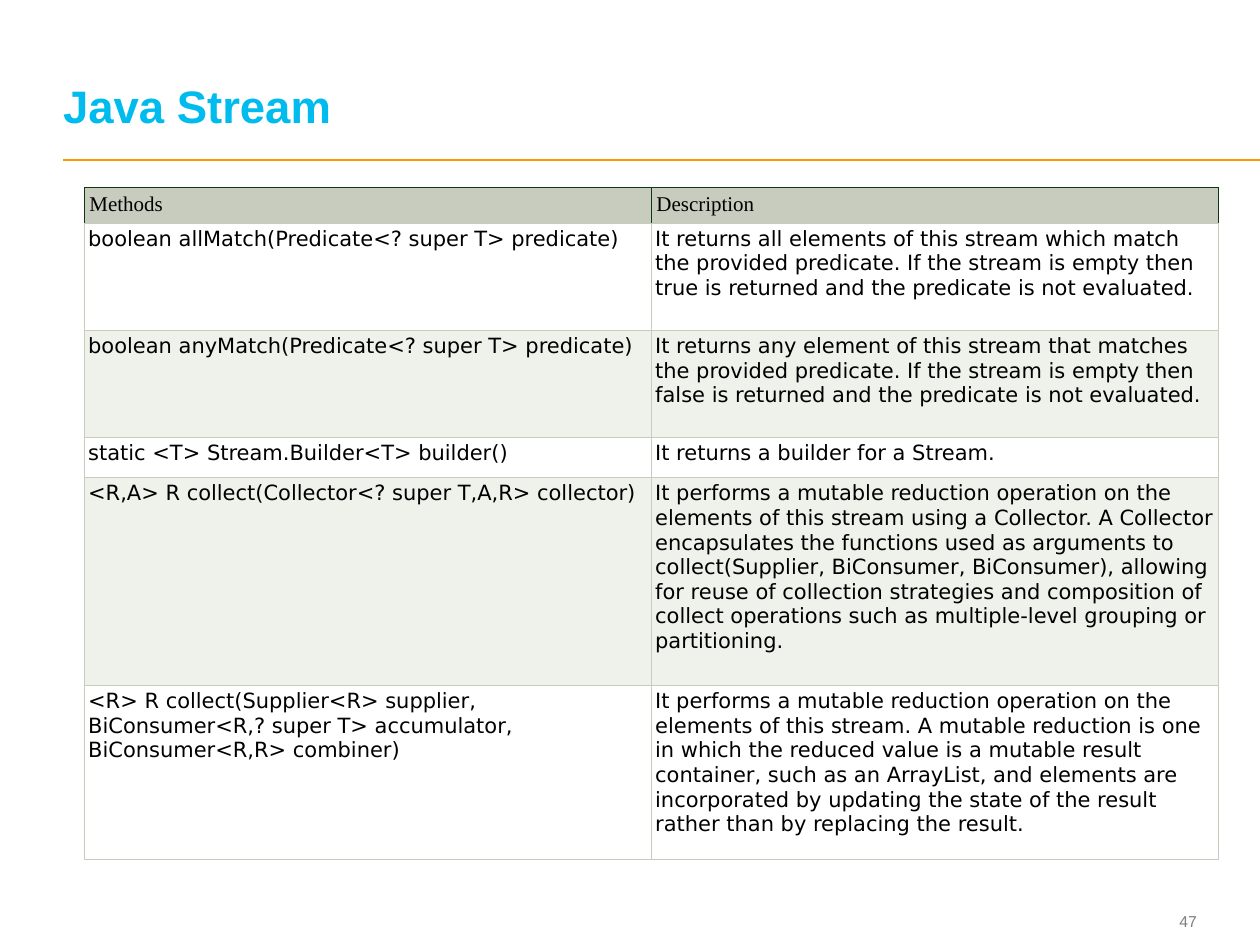
from dataclasses import dataclass

import pptx
import pptx.dml.color
import pptx.enum.shapes
import pptx.enum.text
import pptx.oxml.ns
import pptx.util
from lxml import etree
from pptx.util import Inches

COLORS = {
    "title": "00BBEE", "rule": "FF9900", "number": "7F7F7F", "text": "000000",
    "header": "C7CCBE", "header_edge": "10380F", "grid": "C7CCBE",
    "plain": "FFFFFF", "band": "EFF1EB",
}
ANCHOR = pptx.enum.text.MSO_ANCHOR
ALIGN = pptx.enum.text.PP_ALIGN


@dataclass
class TextStyle:
    font: str
    size: float
    color: str
    bold: bool = False


@dataclass
class MethodRow:
    method: str
    description: str
    height: float


TITLE = TextStyle("Arial", 26, "title", True)
NUMBER = TextStyle("Arial", 9, "number")
HEADER = TextStyle("Times New Roman", 12, "text")
BODY = TextStyle("DejaVu Sans", 12, "text")

ROWS = [
    MethodRow("Methods", "Description", 0.28),
    MethodRow(
        "boolean allMatch(Predicate<? super T> predicate)",
        "It returns all elements of this stream which match the provided predicate. "
        "If the stream is empty then true is returned and the predicate is not evaluated.",
        0.85),
    MethodRow(
        "boolean anyMatch(Predicate<? super T> predicate)",
        "It returns any element of this stream that matches the provided predicate. "
        "If the stream is empty then false is returned and the predicate is not evaluated.",
        0.85),
    MethodRow(
        "static <T> Stream.Builder<T> builder()",
        "It returns a builder for a Stream.",
        0.32),
    MethodRow(
        "<R,A> R collect(Collector<? super T,A,R> collector)",
        "It performs a mutable reduction operation on the elements of this stream using "
        "a Collector. A Collector encapsulates the functions used as arguments to "
        "collect(Supplier, BiConsumer, BiConsumer), allowing for reuse of collection "
        "strategies and composition of collect operations such as multiple-level "
        "grouping or partitioning.",
        1.65),
    MethodRow(
        "<R> R collect(Supplier<R> supplier, BiConsumer<R,? super T> accumulator, "
        "BiConsumer<R,R> combiner)",
        "It performs a mutable reduction operation on the elements of this stream. "
        "A mutable reduction is one in which the reduced value is a mutable result "
        "container, such as an ArrayList, and elements are incorporated by updating "
        "the state of the result rather than by replacing the result.",
        1.38),
]


def rgb(name: str) -> pptx.dml.color.RGBColor:
    return pptx.dml.color.RGBColor.from_string(COLORS[name])


def set_all(target, values: dict) -> None:
    for name, value in values.items():
        setattr(target, name, value)


def write(frame, text: str, style: TextStyle, align=ALIGN.LEFT):
    para = frame.paragraphs[0]
    para.alignment = align
    span = para.add_run()
    span.text = text
    set_all(span.font, {"name": style.font, "size": pptx.util.Pt(style.size),
                        "bold": style.bold})
    span.font.color.rgb = rgb(style.color)
    return para


def format_frame(frame, anchor) -> None:
    set_all(frame, {"margin_left": 0, "margin_top": 0, "margin_right": 0,
                    "margin_bottom": 0, "word_wrap": True,
                    "auto_size": pptx.enum.text.MSO_AUTO_SIZE.NONE,
                    "vertical_anchor": anchor})


def add_border(cell, side: str, color: str) -> None:
    qn = pptx.oxml.ns.qn
    properties = cell._tc.get_or_add_tcPr()
    line = etree.SubElement(properties, qn(f"a:ln{side}"), w=str(pptx.util.Pt(0.6)))
    fill = etree.SubElement(line, qn("a:solidFill"))
    etree.SubElement(fill, qn("a:srgbClr"), val=COLORS[color])


def fill_cell(cell, text: str, row: int) -> None:
    is_header = row == 0
    margin = Inches(0.04 if is_header else 0.03)
    set_all(cell, {"margin_left": margin, "margin_top": margin,
                   "margin_right": margin, "margin_bottom": margin,
                   "vertical_anchor": ANCHOR.TOP})
    write(cell.text_frame, text, HEADER if is_header else BODY)
    for side in "LRTB":
        add_border(cell, side, "header_edge" if is_header and side != "B" else "grid")
    cell.fill.solid()
    cell.fill.fore_color.rgb = rgb(
        "header" if is_header else "plain" if row % 2 else "band")


def add_methods_table(page, rows: list[MethodRow]) -> None:
    height = sum(row.height for row in rows)
    table = page.shapes.add_table(len(rows), 2, Inches(0.67), Inches(1.49),
                                  Inches(9), Inches(height)).table
    for column in table.columns:
        column.width = Inches(4.5)
    for index, row in enumerate(rows):
        table.rows[index].height = Inches(row.height)
        for column, text in enumerate((row.method, row.description)):
            fill_cell(table.cell(index, column), text, index)


def add_rule(page) -> None:
    rule = page.shapes.add_connector(pptx.enum.shapes.MSO_CONNECTOR.STRAIGHT,
                                     Inches(0.5), Inches(1.27), Inches(10), Inches(1.27))
    rule.line.color.rgb = rgb("rule")
    rule.line.width = pptx.util.Pt(1)
    etree.SubElement(rule._element.spPr, pptx.oxml.ns.qn("a:effectLst"))


def main() -> None:
    deck = pptx.Presentation()
    set_all(deck, {"slide_width": Inches(10), "slide_height": Inches(7.5)})
    page = deck.slides.add_slide(deck.slide_layouts[5])

    # Title and the rule under it
    title = page.shapes.title
    set_all(title, {"left": Inches(0.5), "top": Inches(0.19),
                    "width": Inches(8.97), "height": Inches(0.86)})
    format_frame(title.text_frame, ANCHOR.BOTTOM)
    write(title.text_frame, "Java Stream", TITLE).line_spacing = pptx.util.Pt(26)
    add_rule(page)

    # Stream methods
    add_methods_table(page, ROWS)

    # Page number
    box = page.shapes.add_textbox(Inches(8.91), Inches(7.18), Inches(0.59), Inches(0.27))
    format_frame(box.text_frame, ANCHOR.MIDDLE)
    write(box.text_frame, "47", NUMBER, ALIGN.RIGHT)

    deck.save("out.pptx")


if __name__ == "__main__":
    main()
